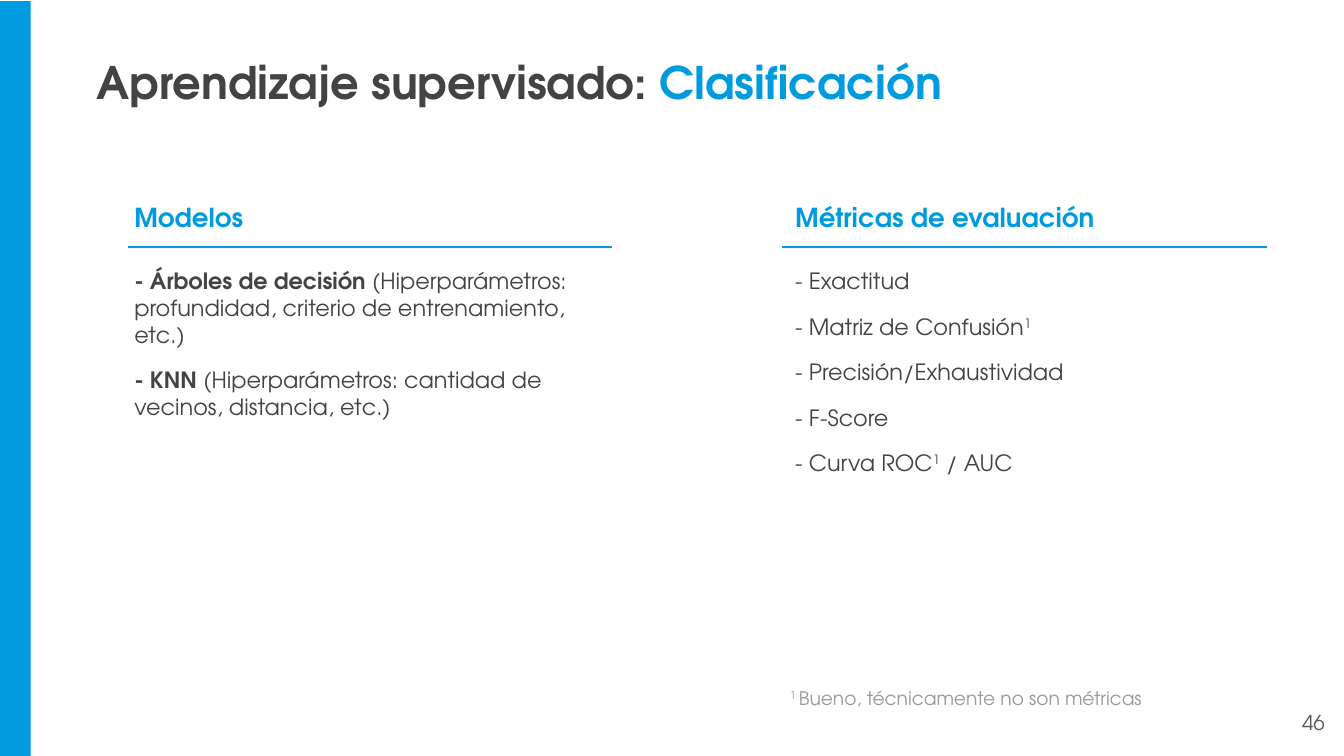
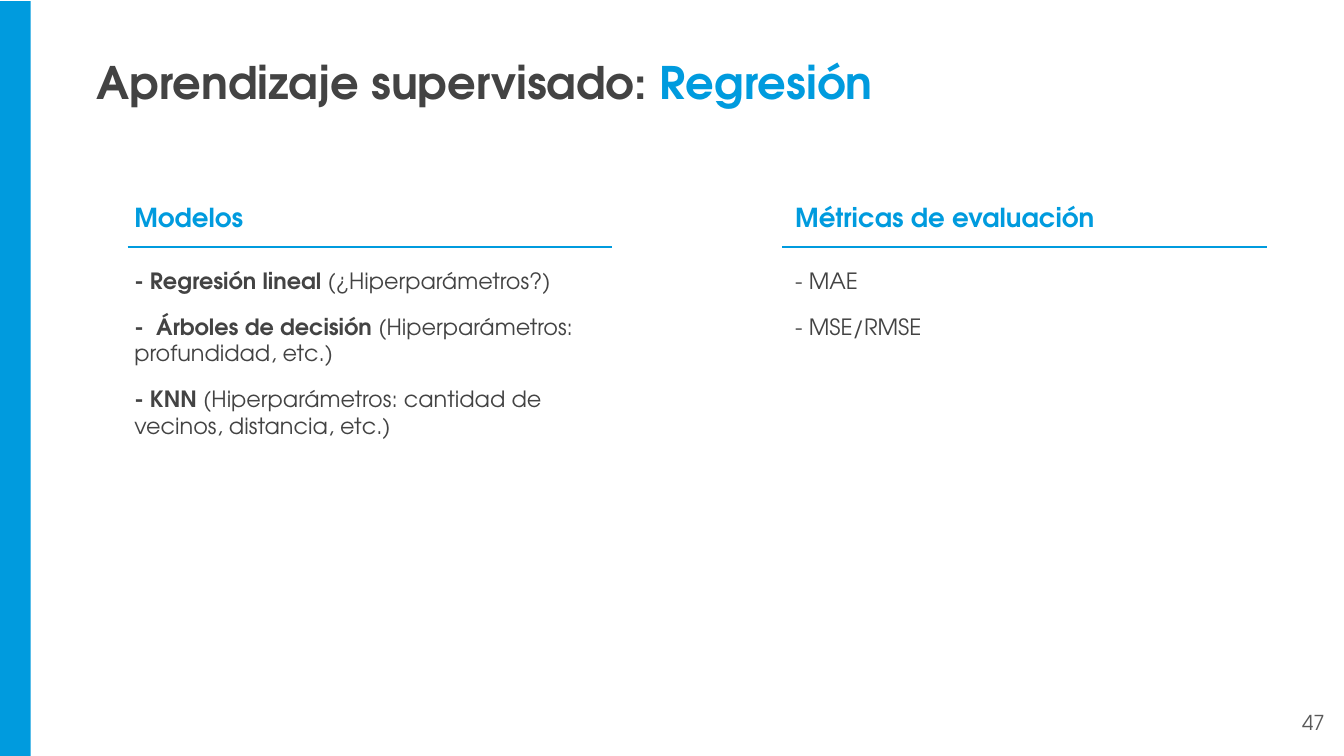
from dataclasses import dataclass

from lxml.etree import SubElement
from pptx import Presentation
from pptx.dml.color import RGBColor
from pptx.enum.shapes import MSO_CONNECTOR, MSO_SHAPE
from pptx.enum.text import MSO_ANCHOR, MSO_AUTO_SIZE, PP_ALIGN
from pptx.oxml.ns import qn
from pptx.util import Cm, Pt

FONT = "TeX Gyre Adventor"
BLUE, DARK, GRAY, PALE = "009BDE", "434343", "595959", "999999"
WIDTH, HEIGHT = 25.4, 14.29


@dataclass(frozen=True)
class Bit:
    """A stretch of text with one look."""
    text: str
    bold: bool = False
    color: str = DARK
    raised: bool = False


@dataclass(frozen=True)
class Box:
    """A place on the slide, in centimetres."""
    left: float
    top: float
    width: float
    height: float


@dataclass(frozen=True)
class Column:
    head: str
    left: float
    rule: float  # left end of the line below the heading


@dataclass(frozen=True)
class Page:
    number: int
    topic: str
    models: list
    scores: list
    note: tuple = ()


TITLE = Box(1.57, 0.79, 21.89, 1.5)
NUMBER = Box(23.77, 13.18, 1.52, 1.09)
NOTE = Box(14.68, 12.52, 9.32, 0.66)
COLUMNS = (Column("Modelos", 2.29, 2.41),
           Column("Métricas de evaluación", 14.78, 14.78))


def model(name: str, rest: str) -> list:
    return [Bit(name, bold=True), Bit(rest)]


ONE = Bit("1", raised=True)
PAGES = (
    Page(46, "Clasificación",
         [model("- Árboles de decisión",
                " (Hiperparámetros: profundidad, criterio de entrenamiento, etc.)"),
          model("- KNN ", "(Hiperparámetros: cantidad de vecinos, distancia, etc.)")],
         [[Bit("- Exactitud")],
          [Bit("- Matriz de Confusión"), ONE],
          [Bit("- Precisión/Exhaustividad")],
          [Bit("- F-Score")],
          [Bit("- Curva ROC"), ONE, Bit(" / AUC")]],
         (Bit("1 ", color=PALE, raised=True),
          Bit("Bueno, técnicamente no son métricas", color=PALE))),
    Page(47, "Regresión",
         [model("- Regresión lineal", " (¿Hiperparámetros?)"),
          model("-  Árboles de decisión", " (Hiperparámetros: profundidad, etc.)"),
          model("- KNN", " (Hiperparámetros: cantidad de vecinos, distancia, etc.)")],
         [[Bit("- MAE")], [Bit("- MSE/RMSE")]]),
)


def paint(code: str) -> RGBColor:
    return RGBColor.from_string(code)


def write(shape, rows: list, size: int, align=PP_ALIGN.LEFT,
          space: float = 1.0) -> None:
    """Fill a shape with rows of bits, 10 pt apart."""
    frame = shape.text_frame
    frame.word_wrap = True
    frame.auto_size = MSO_AUTO_SIZE.NONE
    frame.vertical_anchor = MSO_ANCHOR.TOP
    frame.margin_left = frame.margin_right = Cm(0.25)
    frame.margin_top = frame.margin_bottom = Cm(0.25)
    for index, row in enumerate(rows):
        line = frame.add_paragraph() if index else frame.paragraphs[0]
        line.alignment = align
        line.line_spacing = space
        line.space_before = Pt(10 if index else 0)
        for bit in row:
            run = line.add_run()
            run.text = bit.text
            font = run.font
            font.name, font.size, font.bold = FONT, Pt(size), bit.bold
            font.color.rgb = paint(bit.color)
            if bit.raised:
                run._r.get_or_add_rPr().set("baseline", "30000")


def place(box: Box) -> tuple:
    return Cm(box.left), Cm(box.top), Cm(box.width), Cm(box.height)


def label(slide, box: Box, rows: list, size: int, **style) -> None:
    write(slide.shapes.add_textbox(*place(box)), rows, size, **style)


def frame(slide, page: Page) -> None:
    """Side band, title and page number."""
    band = slide.shapes.add_shape(MSO_SHAPE.RECTANGLE,
                                  *place(Box(0, 0.02, 0.58, HEIGHT - 0.02)))
    band.shadow.inherit = False
    band.fill.solid()
    band.fill.fore_color.rgb = paint(BLUE)
    band.line.fill.background()

    title = slide.shapes.title
    title.left, title.top, title.width, title.height = place(TITLE)
    write(title, [[Bit("Aprendizaje supervisado: ", bold=True),
                   Bit(page.topic, bold=True, color=BLUE)]], 24)
    title.text_frame.paragraphs[0].space_after = Pt(10)

    label(slide, NUMBER, [[Bit(str(page.number), color=GRAY)]], 11,
          align=PP_ALIGN.RIGHT)


def fill(slide, column: Column, rows: list) -> None:
    """Heading, line and list of one column."""
    label(slide, Box(column.left, 3.56, 6.17, 1.09),
          [[Bit(column.head, bold=True, color=BLUE)]], 14)
    rule = slide.shapes.add_connector(
        MSO_CONNECTOR.STRAIGHT, Cm(column.rule), Cm(4.67),
        Cm(column.rule + 9.16), Cm(4.67))
    rule.line.color.rgb = paint(BLUE)
    rule.line.width = Pt(1.5)
    SubElement(rule._element.spPr, qn("a:effectLst"))
    label(slide, Box(column.left, 4.8, 9.22, 2.64), rows, 12)


def main() -> None:
    deck = Presentation()
    deck.slide_width, deck.slide_height = Cm(WIDTH), Cm(HEIGHT)
    for page in PAGES:
        slide = deck.slides.add_slide(deck.slide_layouts[5])
        frame(slide, page)
        for column, rows in zip(COLUMNS, (page.models, page.scores)):
            fill(slide, column, rows)
        # Footnote
        if page.note:
            label(slide, NOTE, [page.note], 10, space=1.5)
    deck.save("out.pptx")


if __name__ == "__main__":
    main()
